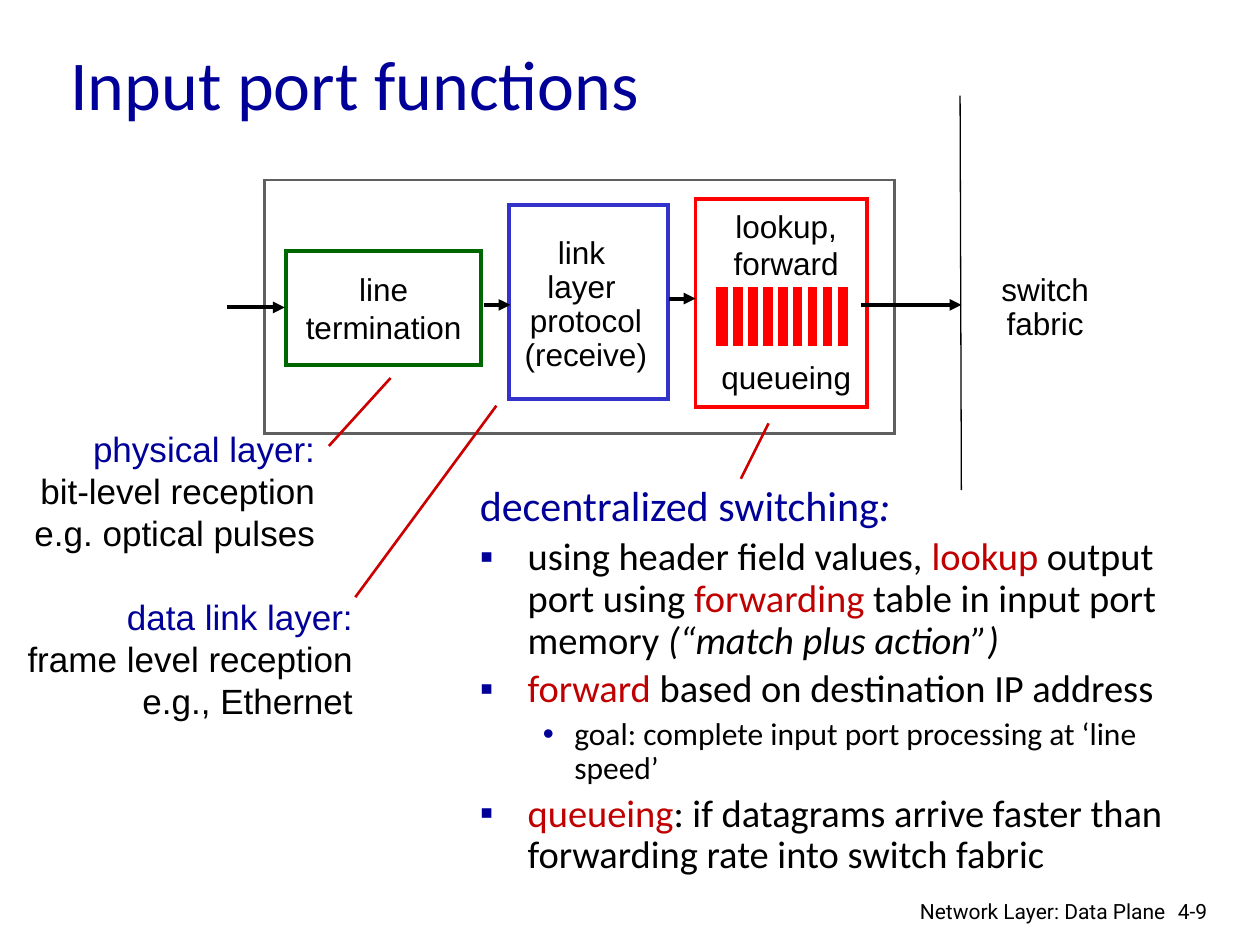
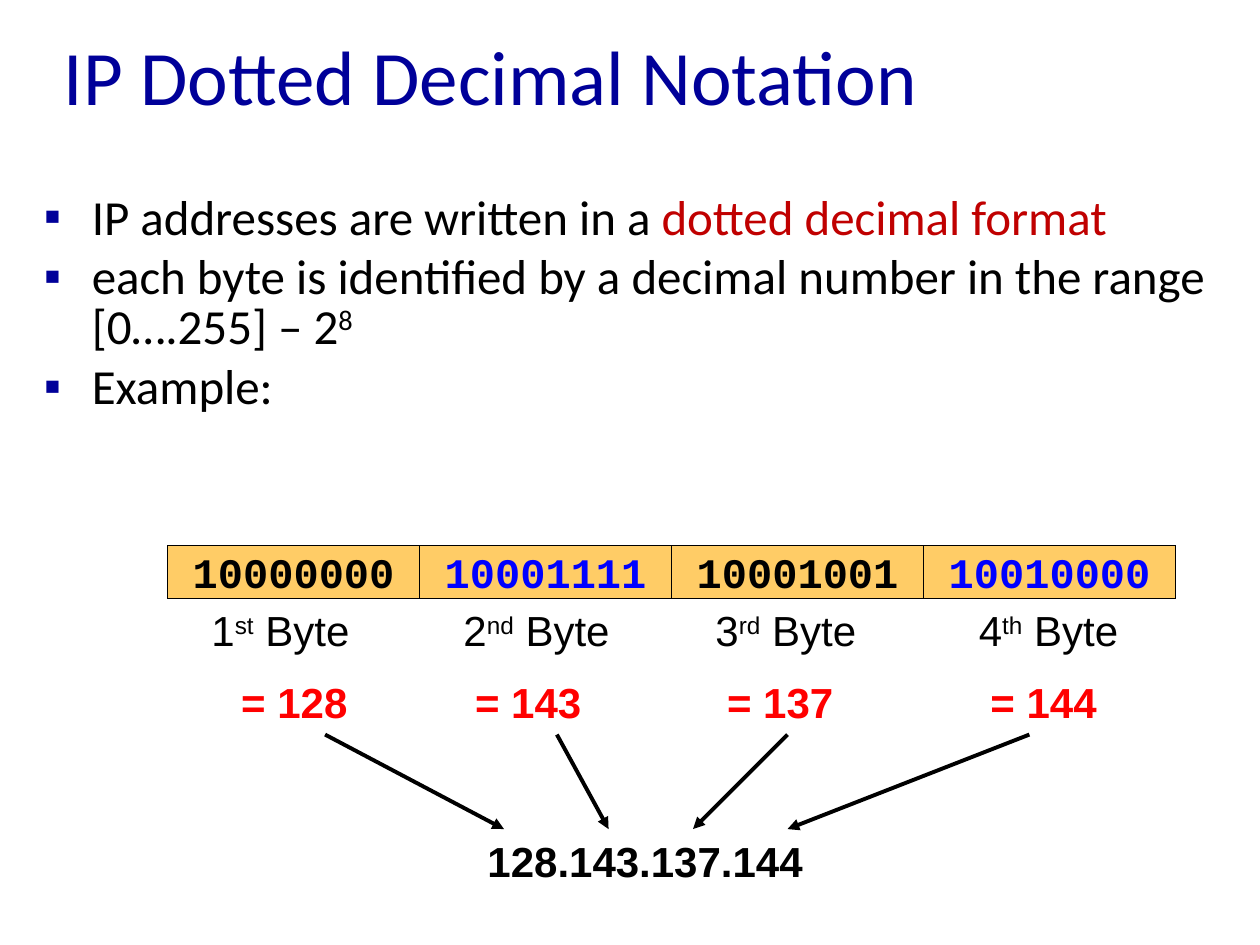
import dataclasses
import pptx
import pptx.util
import pptx.dml.color
import pptx.enum.shapes
import pptx.enum.text
import lxml.etree

Inches = pptx.util.Inches
Pt = pptx.util.Pt
Align = pptx.enum.text.PP_ALIGN
Anchor = pptx.enum.text.MSO_ANCHOR
Shape = pptx.enum.shapes.MSO_SHAPE
Link = pptx.enum.shapes.MSO_CONNECTOR
DML = "{http://schemas.openxmlformats.org/drawingml/2006/main}"


@dataclasses.dataclass(frozen=True)
class Theme:
    navy: str = "000099"
    mark: str = "C00000"
    lead: str = "CC0000"
    red: str = "FF0000"
    green: str = "006600"
    blue: str = "3333CC"
    bright: str = "0000FF"
    gray: str = "5F5F5F"
    sand: str = "FFCC66"
    black: str = "000000"
    white: str = "FFFFFF"
    head: str = "Calibri"
    plain: str = "Arial"
    mono: str = "Courier New"
    foot: str = "Roboto"
    note: int = 12
    label: int = 18
    side: int = 20
    body: int = 22
    large: int = 24
    point: int = 28


T = Theme()
ALIGN = {"l": Align.LEFT, "c": Align.CENTER, "r": Align.RIGHT}
MARK = {"color": T.mark}
NAVY = {"color": T.navy}
SUP = {"sup": True}


def rgb(color):
    return pptx.dml.color.RGBColor.from_string(color)


def bullet(para, char, left, hang):
    props = para._p.get_or_add_pPr()
    props.set("marL", str(Inches(left)))
    props.set("indent", str(-Inches(hang)))
    tint = lxml.etree.SubElement(props, DML + "buClr")
    lxml.etree.SubElement(tint, DML + "srgbClr", val=T.navy)
    lxml.etree.SubElement(props, DML + "buFont", typeface=T.plain)
    lxml.etree.SubElement(props, DML + "buChar", char=char)


def add_run(para, text, size, font, color, bold=False, slant=False, sup=False):
    run = para.add_run()
    run.text = text
    run.font.size = Pt(size)
    run.font.name = font
    run.font.color.rgb = rgb(color)
    run.font.bold = bold
    run.font.italic = slant
    if sup:
        run._r.get_or_add_rPr().set("baseline", "30000")


def write(shape, paras, align="l", mid=False, wrap=True, pitch=1.0, gap=0,
          marks=None, size=T.label, font=T.plain, color=T.black, bold=False):
    frame = shape.text_frame
    frame.word_wrap = wrap
    frame.vertical_anchor = Anchor.MIDDLE if mid else Anchor.TOP
    for i, runs in enumerate(paras):
        para = frame.paragraphs[0] if i == 0 else frame.add_paragraph()
        mark = marks[i] if marks else None
        if mark:
            bullet(para, *mark)
        para.alignment = ALIGN[align]
        para.line_spacing = pitch
        para.space_before = Pt(gap if i else 0)
        for run in [runs] if isinstance(runs, str) else runs:
            text, extra = (run, {}) if isinstance(run, str) else run
            base = {"size": size, "font": font, "color": color, "bold": bold}
            add_run(para, text, **{**base, **extra})


def area(slide, x, y, w, h):
    return slide.shapes.add_textbox(Inches(x), Inches(y), Inches(w), Inches(h))


def block(slide, x, y, w, h, line, width, fill=T.white):
    shape = slide.shapes.add_shape(
        Shape.RECTANGLE, Inches(x), Inches(y), Inches(w), Inches(h))
    shape.shadow.inherit = False
    shape.fill.solid()
    shape.fill.fore_color.rgb = rgb(fill)
    shape.line.color.rgb = rgb(line)
    shape.line.width = Pt(width)
    edge = shape._element.spPr.find(DML + "ln")
    lxml.etree.SubElement(edge, DML + "miter", lim="800000")
    return shape


def stroke(slide, x1, y1, x2, y2, color=T.black, width=2.25, arrow=False):
    line = slide.shapes.add_connector(
        Link.STRAIGHT, Inches(x1), Inches(y1), Inches(x2), Inches(y2))
    line.line.color.rgb = rgb(color)
    line.line.width = Pt(width)
    props = line._element.spPr
    if arrow:
        lxml.etree.SubElement(props.find(DML + "ln"), DML + "tailEnd", type="triangle")
    lxml.etree.SubElement(props, DML + "effectLst")


def title(slide, text, x, y, h, size):
    write(area(slide, x, y, 8.5, h), [text], mid=True, size=size,
          font=T.head, color=T.navy)


def footer(slide, text, page, x, y):
    style = {"size": T.note, "font": T.foot}
    write(area(slide, x, y, 2.38, 0.26), [text], align="r", **style)
    write(area(slide, x + 2.28, y, 0.61, 0.3), [page], **style)


def queue(slide, x, y, w, h):
    block(slide, x, y, w, h, T.white, 3, T.red)
    for i in range(8):
        bar = x + 0.14 + i * 0.118
        stroke(slide, bar, y, bar, y + h, T.white, 3)


def port(slide, x, y):
    style = {"align": "c", "wrap": False}
    block(slide, x, y, 5, 2.01, T.gray, 1.5)
    line = block(slide, x + 0.17, y + 0.56, 1.55, 0.91, T.green, 2.25)
    write(line, ["line", "termination"], mid=True, **style)
    block(slide, x + 1.94, y + 0.2, 1.26, 1.54, T.blue, 2.25)
    write(area(slide, x + 1.85, y + 0.54, 1.4, 0.91),
          ["link ", "layer ", "protocol", "(receive)"], mid=True, pitch=0.9, **style)
    block(slide, x + 3.42, y + 0.15, 1.36, 1.65, T.red, 2.25)
    write(area(slide, x + 3.52, y + 0.16, 1.24, 0.7), ["lookup,", "forward"], **style)
    write(area(slide, x + 3.42, y + 1.36, 1.44, 0.38), ["queueing"], **style)
    queue(slide, x + 3.56, y + 0.83, 1.09, 0.51)
    for start, end, level in [(-0.3, 0.16, 1.01), (1.74, 1.95, 0.99),
                              (3.21, 3.42, 0.94), (4.73, 5.53, 0.99)]:
        stroke(slide, x + start, y + level, x + end, y + level, arrow=True)
    stroke(slide, x + 5.52, y - 0.67, x + 5.53, y + 2.46, width=0.75)
    write(area(slide, x + 5.62, y + 0.56, 1.15, 0.91),
          ["switch", "fabric"], mid=True, pitch=0.9, **style)
    for x1, y1, x2, y2 in [(0.51, 2.11, 1, 1.57), (0.72, 3.31, 1.84, 1.79),
                           (3.78, 2.37, 4, 1.93)]:
        stroke(slide, x + x1, y + y1, x + x2, y + y2, T.lead, 1.5)


def layer(slide, x, y, w, head, *lines):
    write(area(slide, x, y, w, 1.11), [[(head, NAVY)], *lines],
          align="r", size=T.side)


def points(slide, x, y, w, h):
    small = {"size": T.label}
    main = ("▪", 0.38, 0.38)
    write(area(slide, x, y, w, h), [
        [("decentralized switching", {"size": T.large, **NAVY}),
         (":", {"size": T.large, "slant": True, **NAVY})],
        ["using header field values, ", ("lookup", MARK), " output port using ",
         ("forwarding ", MARK), "table in input port memory ",
         ("(“match plus action”)", {"slant": True})],
        [("forward", MARK), " based on destination IP address"],
        [("goal: complete input port processing at ‘line speed’", small)],
        [("queueing", MARK),
         ": if datagrams arrive faster than forwarding rate into switch fabric"],
    ], marks=[None, main, main, ("•", 0.75, 0.25), main],
        pitch=0.9, gap=4.2, size=T.body, font=T.head)


def facts(slide, x, y, w, h):
    write(area(slide, x, y, w, h), [
        ["IP addresses are written in a ", ("dotted decimal format", MARK)],
        ["each byte is identified by a decimal number in the range [0….255] – 2",
         ("8", SUP)],
        "Example:",
    ], marks=[("▪", 0.38, 0.38)] * 3, pitch=0.85, gap=5.6,
        size=T.point, font=T.head)


def bytes_row(slide, x, y):
    rows = [("10000000", "st", 128, 0.25, (1.25, 2.67)),
            ("10001111", "nd", 143, 0.25, (3.09, 3.5)),
            ("10001001", "rd", 137, 0.25, (4.92, 4.17)),
            ("10010000", "th", 144, 0.34, (6.84, 4.92))]
    for i, (bits, rank, value, inset, (start, end)) in enumerate(rows):
        left = x + i * 2
        cell = block(slide, left, y, 2, 0.42, T.black, 0.75, T.sand)
        write(cell, [bits], align="c", mid=True, wrap=False, size=T.large,
              font=T.mono, bold=True, color=T.bright if i % 2 else T.black)
        note = area(slide, left + inset, y + 0.42, 1.42, 1.1)
        write(note, [[str(i + 1), (rank, SUP), " Byte"],
                     [(f" = {value}", {"color": T.red, "bold": True})]],
              size=T.large, gap=12.5)
        if i == 0:
            note.text_frame.paragraphs[1].alignment = Align.CENTER
        stroke(slide, x + start, y + 1.5, x + end, y + 2.25, arrow=True)
    total = ".".join(str(row[2]) for row in rows)
    write(area(slide, x + 2, y + 2.25, 3.58, 0.5), [total], align="c",
          size=T.large, bold=True)


def main():
    deck = pptx.Presentation()
    deck.slide_width = Inches(10)
    deck.slide_height = Inches(7.5)
    blank = deck.slide_layouts[6]

    slide = deck.slides.add_slide(blank)
    port(slide, 2.1, 1.43)
    title(slide, "Input port functions", 0.46, 0.32, 0.67, 40)
    points(slide, 3.71, 3.8, 5.97, 3.54)
    layer(slide, 0.1, 3.34, 2.5, "physical layer:",
          "bit-level reception", "e.g. optical pulses")
    layer(slide, 0.05, 4.68, 2.85, "data link layer:",
          "frame level reception", "e.g., Ethernet")
    footer(slide, "Network Layer: Data Plane", "4-9", 6.97, 7.08)

    slide = deck.slides.add_slide(blank)
    title(slide, "IP Dotted Decimal Notation", 0.41, 0.22, 0.75, 44)
    facts(slide, 0.25, 1.5, 9.75, 2.1)
    bytes_row(slide, 1.33, 4.33)

    deck.save("out.pptx")


if __name__ == "__main__":
    main()
